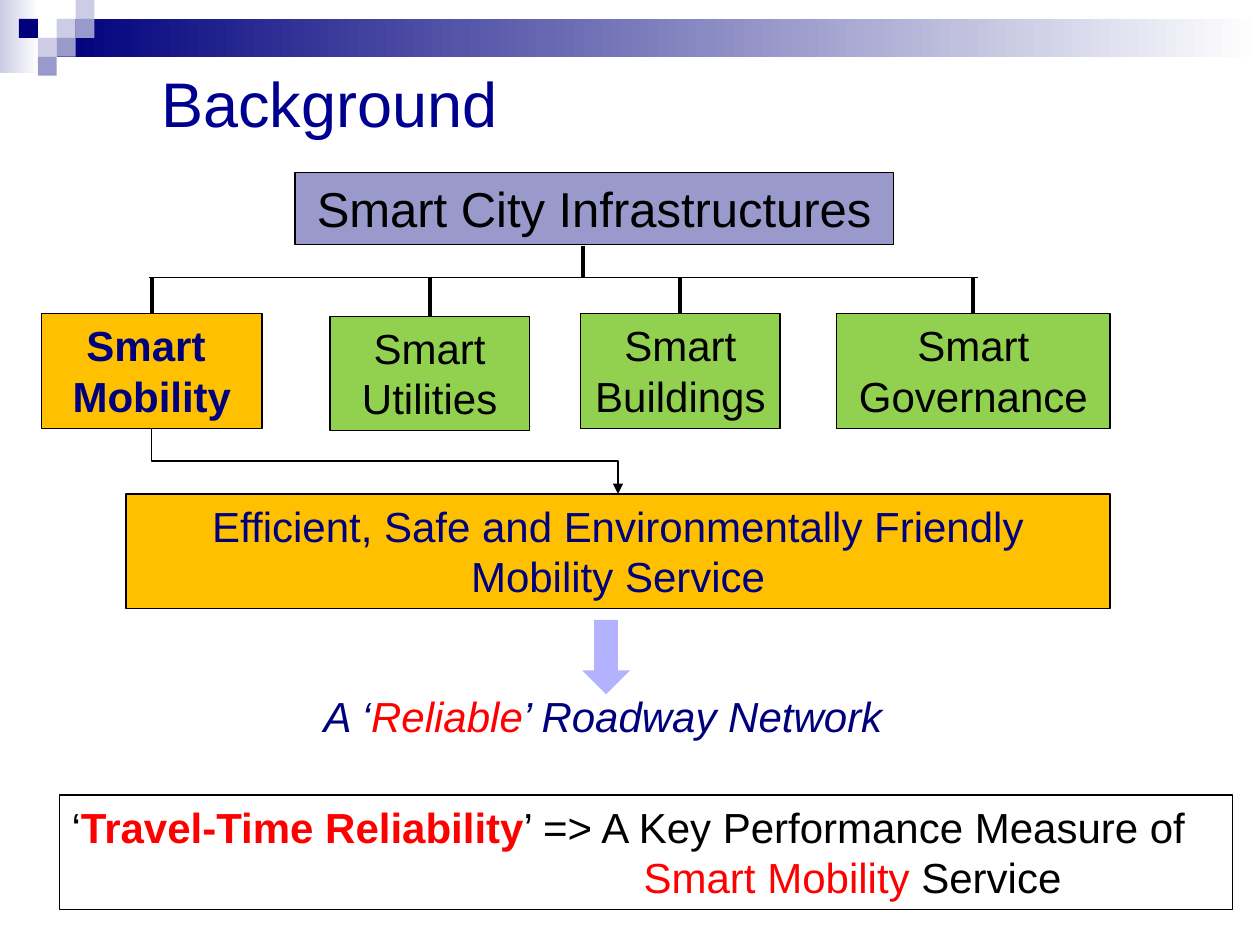
from lxml.etree import SubElement
from pptx import Presentation
from pptx.dml.color import RGBColor
from pptx.enum.shapes import MSO_CONNECTOR, MSO_SHAPE
from pptx.enum.text import MSO_ANCHOR, PP_ALIGN
from pptx.oxml.ns import qn
from pptx.util import Inches, Pt

BLACK, NAVY, RED = "000000", "00007D", "FF0000"
LILAC, PALE, GOLD, GREEN = "9999CC", "CCCCE6", "FFC000", "92D050"
TOP, BOTTOM = 0, 2


def color(value):
    return RGBColor.from_string(value)


def add_block(slide, place, fill=None, line=None, kind=MSO_SHAPE.RECTANGLE):
    """Add a preset shape; a pair of colours as fill makes a gradient."""
    shape = slide.shapes.add_shape(kind, *map(Inches, place))
    shape.shadow.inherit = False
    if fill is None:
        shape.fill.background()
    elif isinstance(fill, tuple):
        shape.fill.gradient()
        shape.fill.gradient_angle = 0
        for stop, value in zip(shape.fill.gradient_stops, fill):
            stop.color.rgb = color(value)
    else:
        shape.fill.solid()
        shape.fill.fore_color.rgb = color(fill)
    if line:
        shape.line.color.rgb = color(line)
        shape.line.width = Pt(0.75)
    else:
        shape.line.fill.background()
    return shape


def write(shape, paragraphs, align=PP_ALIGN.LEFT, **base):
    """Fill a shape with paragraphs, each a list of (text, format) runs."""
    frame = shape.text_frame
    frame.word_wrap = True
    frame.vertical_anchor = MSO_ANCHOR.TOP
    for index, runs in enumerate(paragraphs):
        paragraph = frame.paragraphs[0] if index == 0 else frame.add_paragraph()
        paragraph.alignment = align
        for text, changes in runs:
            run = paragraph.add_run()
            run.text = text
            values = {"name": "Arial", "size": Pt(24), "color": BLACK, **base, **changes}
            run.font.color.rgb = color(values.pop("color"))
            for name, value in values.items():
                setattr(run.font, name, value)
    return frame


def add_box(slide, place, fill, lines, **base):
    shape = add_block(slide, place, fill, BLACK)
    write(shape, [[(line, {})] for line in lines], PP_ALIGN.CENTER, **base)
    return shape


def add_label(slide, place, runs, **base):
    return write(slide.shapes.add_textbox(*map(Inches, place)), [runs], **base)


def add_line(slide, start, end, width, kind=MSO_CONNECTOR.STRAIGHT):
    connector = slide.shapes.add_connector(kind, *map(Inches, start + end))
    connector.line.color.rgb = color(BLACK)
    connector.line.width = Pt(width)
    SubElement(connector._element.spPr, qn("a:effectLst"))
    return connector


def add_elbow_arrow(slide, upper, lower):
    """Run down, across and down again from one box to a lower one."""
    connector = add_line(slide, (0, 0), (1, 1), 0.75, MSO_CONNECTOR.ELBOW)
    connector.begin_connect(upper, BOTTOM)
    connector.end_connect(lower, TOP)
    start_x, start_y = upper.left + upper.width // 2, upper.top + upper.height
    across = lower.left + lower.width // 2 - start_x
    down = lower.top - start_y
    # The frame is turned a quarter, so its width is the drop
    connector.left = start_x + (across - down) // 2
    connector.top = start_y + (down - across) // 2
    connector.width, connector.height = down, across
    connector.rotation = 270
    connector._element.spPr.find(qn("a:xfrm")).set("flipH", "1")
    SubElement(connector.line._get_or_add_ln(), qn("a:tailEnd"), type="triangle")


def add_header_band(slide):
    add_block(slide, (0, 0, 0.31, 0.58), (PALE, "FFFFFF"))
    add_block(slide, (0.45, 0.15, 9.55, 0.3), (NAVY, "FFFFFF"))
    side = 0.15
    squares = [(3, 1, PALE), (4, 0, PALE), (4, 1, LILAC), (2, 2, PALE),
               (1, 1, NAVY), (3, 2, LILAC), (2, 3, LILAC)]
    for column, row, fill in squares:
        add_block(slide, (column * side, row * side, side, side), fill)


def add_hierarchy(slide):
    """Draw the infrastructure tree and return the mobility box."""
    add_box(slide, (2.34, 1.37, 4.75, 0.57), LILAC,
            ["Smart City Infrastructures"], size=Pt(28))
    bar_y = 2.2
    highlight = {"color": NAVY, "bold": True}
    branches = [
        (0.33, 2.49, 1.75, GOLD, ["Smart ", "Mobility"], highlight),
        (2.62, 2.51, 1.58, GREEN, ["Smart", "Utilities"], {}),
        (4.61, 2.49, 1.58, GREEN, ["Smart", "Buildings"], {}),
        (6.64, 2.49, 2.17, GREEN, ["Smart", "Governance"], {}),
    ]
    boxes = []
    for left, top, width, fill, lines, style in branches:
        box = add_box(slide, (left, top, width, 0.91), fill, lines, **style)
        middle = left + width / 2
        drop = add_line(slide, (middle, bar_y), (middle, top), 2.25)
        drop.end_connect(box, TOP)
        boxes.append(box)
    add_line(slide, (1.18, bar_y), (7.76, bar_y), 0.75)
    add_line(slide, (4.63, 1.95), (4.63, 2.21), 2.25)
    return boxes[0]


def add_conclusion(slide):
    shape = add_block(slide, (0.47, 6.31, 9.31, 0.91), line=BLACK)
    frame = write(shape, [
        [("‘", {}), ("Travel-Time Reliability", {"color": RED, "bold": True}),
         ("’ => A Key Performance Measure of", {})],
        [("Smart Mobility ", {"color": RED}), ("Service", {})],
    ])
    # Indent the second line under the end of the first
    frame.paragraphs[1]._p.get_or_add_pPr().set("marL", str(Inches(4.54)))


def main():
    presentation = Presentation()
    presentation.slide_width, presentation.slide_height = Inches(10), Inches(7.5)
    slide = presentation.slides.add_slide(presentation.slide_layouts[6])

    # Header and title
    add_header_band(slide)
    title = add_label(slide, (1.18, 0.41, 8.82, 0.58), [("Background", {})],
                      size=Pt(36), color="000090")
    title.margin_top = Inches(0.1)

    # Tree and the service it leads to
    mobility = add_hierarchy(slide)
    service = add_box(slide, (1, 3.92, 7.81, 0.91), GOLD,
                      ["Efficient, Safe and Environmentally Friendly Mobility Service"],
                      color=NAVY)
    add_elbow_arrow(slide, mobility, service)

    # Outcome
    add_label(slide, (2.47, 5.43, 5.62, 0.5),
              [("A ‘", {}), ("Reliable", {"color": RED}), ("’ Roadway Network", {})],
              color=NAVY, italic=True)
    add_block(slide, (4.62, 4.92, 0.38, 0.59), "B2B2FF", kind=MSO_SHAPE.DOWN_ARROW)
    add_conclusion(slide)

    presentation.save("out.pptx")


if __name__ == "__main__":
    main()
